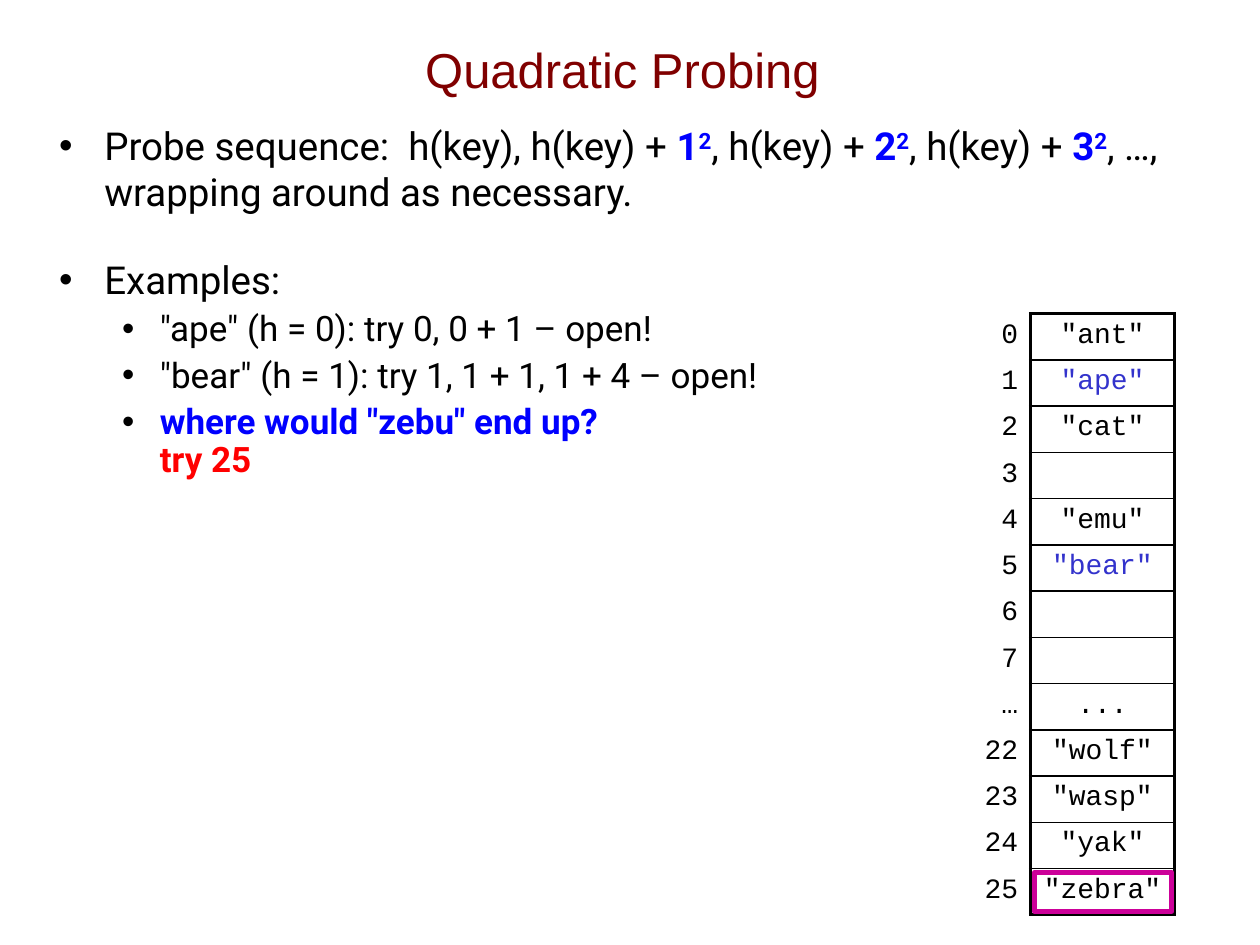
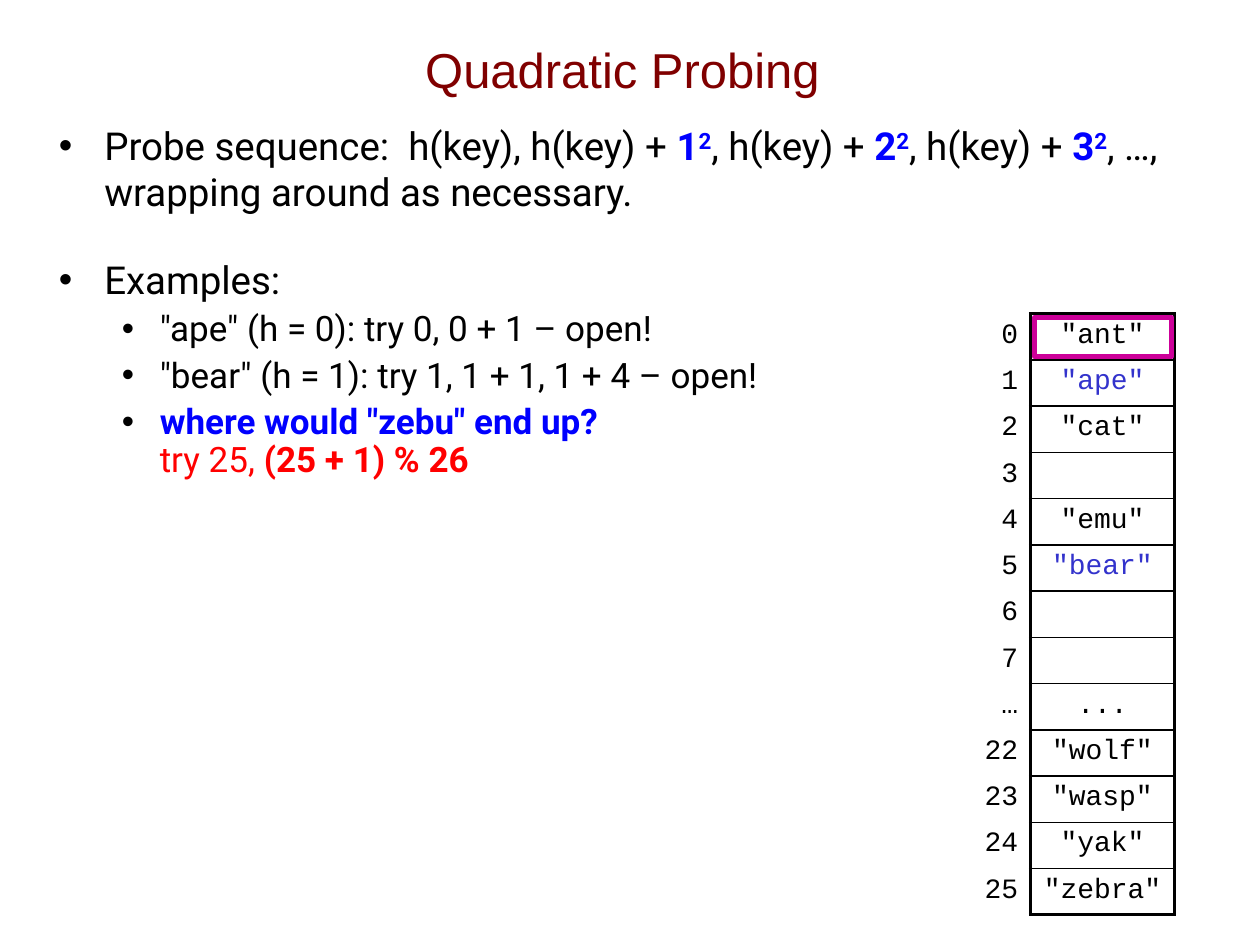
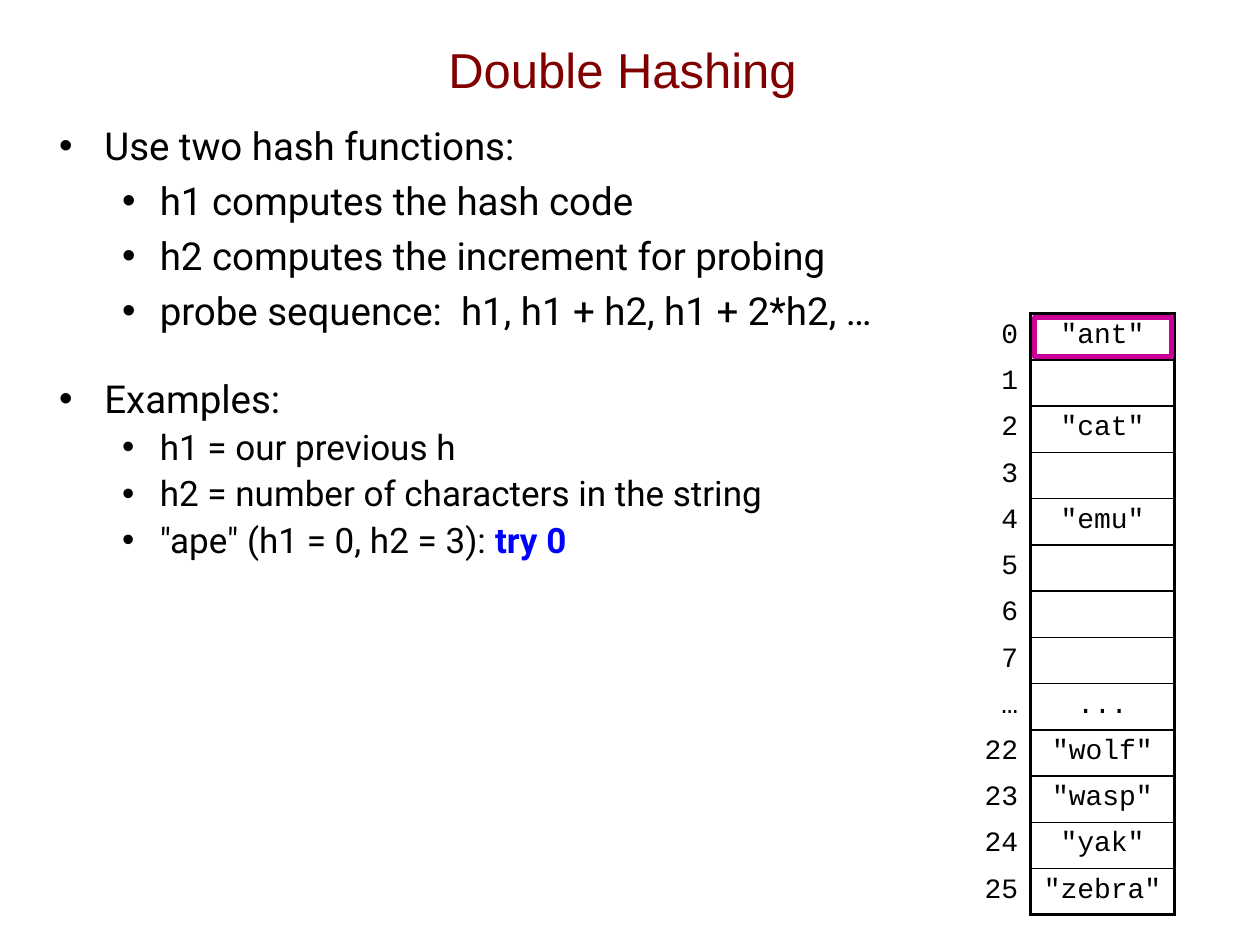
"""Build three slides on quadratic probing and double hashing."""
from lxml.etree import SubElement as Sub
from pptx import Presentation as Deck
from pptx.dml.color import RGBColor as RGB
from pptx.enum.shapes import MSO_SHAPE as Shape
from pptx.enum.text import MSO_ANCHOR as Anchor, PP_ALIGN as Align
from pptx.oxml.ns import qn
from pptx.util import Emu, Inches, Pt

THEME = {
    "ink": "000000", "mark": "CC0099", "wide": 2.25, "thin": 1, "ring": 3,
    "title": dict(name="Arial", size=28, color="800000"),
    "cell": dict(name="Courier New", size=16, color="000000"),
    "body": dict(name="Roboto", color="000000"),
    "plain": {},
    "blue": dict(color="0000FF", bold=True),
    "power": dict(color="0000FF", bold=True, base=30000),
    "red": dict(color="FF0000"),
    "alert": dict(color="FF0000", bold=True),
    "new": dict(color="3333CC"),
}
NO_STYLE = "{2D5ABB26-0587-4C30-8999-92F81FD0307C}"

KINDS = {
    "lead": dict(level=0, size=22, before=14, line=None, left=0.36, hang=0.36),
    "next": dict(level=0, size=22, before=24, line=None, left=0.36, hang=0.36),
    "sub": dict(level=1, size=22, before=5, line=None, left=0.8, hang=0.3),
    "case": dict(level=1, size=20, before=5, line=0.9, left=0.8, hang=0.3),
}

PROBE = [
    ("lead", [("Probe sequence:  h(key), h(key) + ", "plain"),
              ("1", "blue"), ("2", "power"), (", h(key) + ", "plain"),
              ("2", "blue"), ("2", "power"), (", h(key) + ", "plain"),
              ("3", "blue"), ("2", "power"),
              (", …,\nwrapping around as necessary.", "plain")]),
    ("next", [("Examples:", "plain")]),
    ("case", [('"ape" (h = 0): try 0, 0 + 1 – open!', "plain")]),
    ("case", [('"bear" (h = 1): try 1, 1 + 1, 1 + 4 – open!', "plain")]),
]
ASK = ('where would "zebu" end up?\n', "blue")
DOUBLE = [
    ("lead", [("Use two hash functions:", "plain")]),
    ("sub", [("h1 computes the hash code", "plain")]),
    ("sub", [("h2 computes the increment for probing", "plain")]),
    ("sub", [("probe sequence:  h1, h1 + h2, h1 + 2*h2, …", "plain")]),
    ("next", [("Examples:", "plain")]),
    ("case", [("h1 = our previous h", "plain")]),
    ("case", [("h2 = number of characters in the string", "plain")]),
    ("case", [('"ape" (h1 = 0, h2 = 3): ', "plain"), ("try 0", "blue")]),
]

SLOTS = ["0", "1", "2", "3", "4", "5", "6", "7", "…", "22", "23", "24", "25"]
WORDS = {"0": '"ant"', "2": '"cat"', "4": '"emu"', "…": "...", "22": '"wolf"',
         "23": '"wasp"', "24": '"yak"', "25": '"zebra"'}
ADDED = {"1": '"ape"', "5": '"bear"'}

SLIDES = [
    dict(title="Quadratic Probing", width=9.48, added=ADDED, tried="25",
         body=PROBE + [("case", [ASK, ("try 25", "alert")])]),
    dict(title="Quadratic Probing", width=9.46, added=ADDED, tried="0",
         body=PROBE + [("case", [ASK, ("try 25,", "red"),
                                 (" (25 + 1) % 26", "alert")])]),
    dict(title="Double Hashing", width=9.25, added={}, tried="0", body=DOUBLE),
]

LEFT, TOP, HIGH = 7.03, 2.49, 4.77
COLS = (1.15, 1.14)
ROW = HIGH / len(SLOTS)


def style(run, **look):
    """Apply a dict of format values to a run."""
    for key, val in look.items():
        if key == "color":
            run.font.color.rgb = RGB.from_string(val)
        elif key == "base":
            run._r.get_or_add_rPr().set("baseline", str(val))
        else:
            setattr(run.font, key, Pt(val) if key == "size" else val)


def write(para, text, **look):
    """Add text to a paragraph, with a line break at each newline."""
    for num, part in enumerate(text.split("\n")):
        if num:
            para.add_line_break()
        if part:
            run = para.add_run()
            run.text = part
            style(run, **look)


def add_box(slide, *spot):
    """Add a wrapping text box and return its frame."""
    frame = slide.shapes.add_textbox(*map(Inches, spot)).text_frame
    frame.word_wrap = True
    return frame


def add_title(slide, text):
    """Add the centred slide title."""
    frame = add_box(slide, 0.64, 0.08, 8.6, 0.93)
    frame.vertical_anchor = Anchor.MIDDLE
    para = frame.paragraphs[0]
    para.alignment = Align.CENTER
    write(para, text, **THEME["title"])


def add_body(slide, items, width):
    """Add the bulleted text."""
    frame = add_box(slide, 0.37, 0.92, width, 6.14)
    for num, (name, spans) in enumerate(items):
        kind = KINDS[name]
        para = frame.add_paragraph() if num else frame.paragraphs[0]
        form = dict(level=kind["level"], space_before=Pt(kind["before"]),
                    line_spacing=kind["line"])
        for key, val in form.items():
            setattr(para, key, val)
        props = para._p.get_or_add_pPr()
        props.set("marL", str(Inches(kind["left"])))
        props.set("indent", str(-Inches(kind["hang"])))
        Sub(Sub(props, qn("a:buClr")), qn("a:srgbClr"), val=THEME["ink"])
        Sub(props, qn("a:buFont"), typeface="Arial")
        Sub(props, qn("a:buChar"), char="•")
        for text, look in spans:
            write(para, text, **{**THEME["body"], "size": kind["size"], **THEME[look]})


def border(cell, **sides):
    """Draw the named cell sides at the given widths."""
    props = cell._tc.get_or_add_tcPr()
    for num, (side, width) in enumerate(sides.items()):
        line = Sub(props, qn(f"a:ln{side}"), w=str(Pt(width)))
        Sub(Sub(line, qn("a:solidFill")), qn("a:srgbClr"), val=THEME["ink"])
        props.insert(num, line)


def fill_cell(cell, text, align, **look):
    """Set the text of one table cell."""
    cell.fill.background()
    para = cell.text_frame.paragraphs[0]
    para.alignment = align
    para.space_before = Pt(14.2)
    look = {**THEME["cell"], **look}
    write(para, text, **look)
    if not text:
        Sub(para._p, qn("a:endParaRPr"), sz=str(look["size"] * 100))


def add_slots(slide, added):
    """Add the hash table with its slot numbers."""
    frame = slide.shapes.add_table(
        len(SLOTS), 2, *map(Inches, (LEFT, TOP, sum(COLS), HIGH)))
    table = frame.table
    table.first_row = table.horz_banding = False
    table._tbl.tblPr[0].text = NO_STYLE
    for col, width in zip(table.columns, COLS):
        col.width = Inches(width)
    wide, thin = THEME["wide"], THEME["thin"]
    last = len(SLOTS) - 1
    for num, slot in enumerate(SLOTS):
        table.rows[num].height = Emu(Inches(ROW))
        label, entry = table.cell(num, 0), table.cell(num, 1)
        fill_cell(label, slot, Align.RIGHT)
        border(label, R=wide)
        look = THEME["new" if slot in added else "plain"]
        fill_cell(entry, {**WORDS, **added}.get(slot, ""), Align.CENTER, **look)
        border(entry, L=wide, R=wide, T=thin if num else wide,
               B=thin if num < last else wide)


def add_ring(slide, slot):
    """Outline the slot being tried."""
    top = TOP + ROW * SLOTS.index(slot) + 0.03
    ring = slide.shapes.add_shape(
        Shape.RECTANGLE, *map(Inches, (LEFT + COLS[0] + 0.03, top, 1.09, 0.31)))
    ring.shadow.inherit = False
    ring.fill.background()
    ring.line.color.rgb = RGB.from_string(THEME["mark"])
    ring.line.width = Pt(THEME["ring"])


def main():
    """Build and save the deck."""
    deck = Deck()
    deck.slide_width, deck.slide_height = Inches(10), Inches(7.5)
    for page in SLIDES:
        slide = deck.slides.add_slide(deck.slide_layouts[6])
        add_title(slide, page["title"])
        add_body(slide, page["body"], page["width"])
        add_slots(slide, page["added"])
        add_ring(slide, page["tried"])
    deck.save("out.pptx")


if __name__ == "__main__":
    main()
